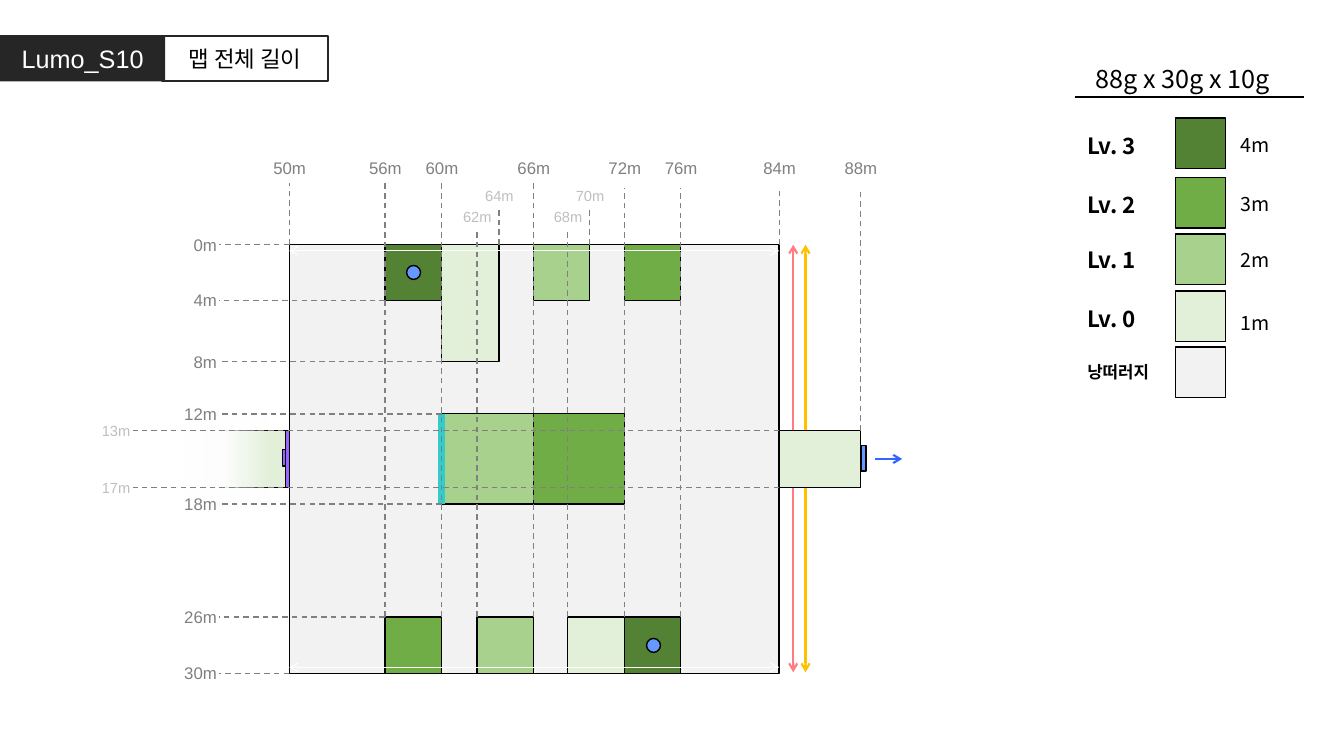
from dataclasses import dataclass
from typing import NamedTuple, Optional

from lxml.etree import SubElement
from pptx import Presentation
from pptx.dml.color import RGBColor
from pptx.enum.dml import MSO_LINE
from pptx.enum.shapes import MSO_CONNECTOR, MSO_SHAPE
from pptx.enum.text import MSO_ANCHOR, PP_ALIGN
from pptx.oxml.ns import qn
from pptx.util import Pt


@dataclass(frozen=True)
class Theme:
    black: str = "000000"
    white: str = "FFFFFF"
    dark: str = "262626"
    major: str = "808080"
    minor: str = "BFBFBF"
    cliff: str = "F2F2F2"
    level0: str = "E2F0D9"
    level1: str = "A9D18E"
    level2: str = "70AD47"
    level3: str = "548235"
    violet: str = "9966FF"
    blue: str = "6699FF"
    arrow_blue: str = "3366FF"
    teal: str = "33CCCC"
    amber: str = "FFC000"
    pink: str = "FF7C80"
    latin: str = "Arial"
    korean: str = "Noto Sans CJK KR"
    title: float = 18
    subtitle: float = 16
    value: float = 14
    small: float = 12
    tiny: float = 10.5


class Box(NamedTuple):
    left: float
    top: float
    width: float
    height: float


class Point(NamedTuple):
    x: float
    y: float


class Style(NamedTuple):
    size: float
    color: str
    font: str
    bold: bool = False
    align: PP_ALIGN = PP_ALIGN.LEFT


class Level(NamedTuple):
    name: str
    height: str
    color: str
    size: float
    swatch_top: float
    name_top: float
    height_top: float


class Block(NamedTuple):
    x_start: int
    y_start: int
    x_end: int
    y_end: int
    color: str


class Column(NamedTuple):
    metre: int
    label_top: float
    line_top: float
    line_end: int


class Row(NamedTuple):
    metre: int
    line_end: int


T = Theme()
X = {50: 206.6, 56: 275, 60: 315.4, 62: 340.6, 64: 356.4, 66: 381, 68: 405.4,
     70: 421.2, 72: 446, 76: 486.2, 84: 556.6, 88: 614.6}
Y = {0: 174.8, 4: 214.6, 8: 258.4, 12: 295.6, 13: 307.6, 17: 348.2, 18: 360,
     26: 440.6, 30: 481}

LEVELS = [
    Level("Lv. 3", "4m", T.level3, T.subtitle, 84.4, 90.8, 91.4),
    Level("Lv. 2", "3m", T.level2, T.subtitle, 126.8, 133.2, 133.8),
    Level("Lv. 1", "2m", T.level1, T.subtitle, 167.2, 172.2, 173.6),
    Level("Lv. 0", "1m", T.level0, T.subtitle, 207.8, 214.6, 218.2),
    Level("낭떠러지", "", T.cliff, T.small, 248, 254.8, 0),
]
BLOCKS = [
    Block(56, 0, 60, 4, T.level3), Block(60, 0, 64, 8, T.level0),
    Block(66, 0, 70, 4, T.level1), Block(72, 0, 76, 4, T.level2),
    Block(62, 26, 66, 30, T.level1), Block(68, 26, 72, 30, T.level0),
    Block(60, 12, 66, 18, T.level1), Block(66, 12, 72, 18, T.level2),
    Block(56, 26, 60, 30, T.level2), Block(72, 26, 76, 30, T.level3),
]
MAJOR_COLUMNS = [
    Column(50, 109.4, 131, 0), Column(56, 109.4, 131, 26), Column(60, 109.4, 131, 26),
    Column(66, 109.4, 131, 26), Column(72, 109.4, 134.6, 26), Column(76, 109.4, 134.6, 26),
    Column(84, 109.4, 134.6, 0), Column(88, 109.4, 134.6, 13),
]
MINOR_COLUMNS = [
    Column(62, 144.8, 164.2, 26), Column(64, 129.6, 149.8, 0),
    Column(68, 144.8, 164.2, 26), Column(70, 129.6, 149.8, 0),
]
MAJOR_ROWS = [Row(0, 50), Row(4, 56), Row(8, 60), Row(12, 60), Row(18, 60),
              Row(26, 56), Row(30, 50)]
MINOR_ROWS = [Row(13, 84), Row(17, 84)]

deck = Presentation()
deck.slide_width, deck.slide_height = Pt(960), Pt(540)
slide = deck.slides.add_slide(deck.slide_layouts[6])


def write(holder, text: str, style: Style) -> None:
    holder.text_frame.word_wrap = True
    paragraph = holder.text_frame.paragraphs[0]
    paragraph.text = text
    paragraph.alignment = style.align
    font = paragraph.font
    font.size, font.bold, font.name = Pt(style.size), style.bold, style.font
    font.color.rgb = RGBColor.from_string(style.color)
    properties = paragraph._p.pPr.find(qn("a:defRPr"))
    SubElement(properties, qn("a:ea"), typeface=T.korean)


def add_text(box: Box, text: str, style: Style) -> None:
    write(slide.shapes.add_textbox(*map(Pt, box)), text, style)


def add_area(box: Box, fill: Optional[str], line: Optional[str] = T.black,
             weight: float = 1, kind: MSO_SHAPE = MSO_SHAPE.RECTANGLE):
    area = slide.shapes.add_shape(kind, *map(Pt, box))
    area.shadow.inherit = False
    area.fill.background()
    if fill:
        area.fill.solid()
        area.fill.fore_color.rgb = RGBColor.from_string(fill)
    area.line.fill.background()
    if line:
        area.line.color.rgb = RGBColor.from_string(line)
        area.line.width = Pt(weight)
    return area


def add_line(start: Point, end: Point, color: str, weight: float = 1,
             dashed: bool = False, arrows: tuple[str, ...] = ()) -> None:
    line = slide.shapes.add_connector(MSO_CONNECTOR.STRAIGHT, *map(Pt, (*start, *end)))
    line.line.color.rgb = RGBColor.from_string(color)
    line.line.width = Pt(weight)
    if dashed:
        line.line.dash_style = MSO_LINE.DASH
    for arrow in arrows:
        SubElement(line.line._get_or_add_ln(), qn(f"a:{arrow}"), type="arrow")
    SubElement(line._element.spPr, qn("a:effectLst"))


def add_block(block: Block) -> None:
    left, top = X[block.x_start], Y[block.y_start]
    add_area(Box(left, top, X[block.x_end] - left, Y[block.y_end] - top), block.color)


def add_column(column: Column, style: Style) -> None:
    x = X[column.metre]
    add_text(Box(x - 20.6, column.label_top, 41.8, 21.6), f"{column.metre}m", style)
    add_line(Point(x, Y[column.line_end]), Point(x, column.line_top), T.major, dashed=True)


def add_row(row: Row, left: float, line_left: float, rise: float, style: Style) -> None:
    y = Y[row.metre]
    add_line(Point(X[row.line_end], y), Point(line_left, y), T.major, dashed=True)
    add_text(Box(left, y - rise, 41.8, 21.6), f"{row.metre}m", style)


BOTH = ("headEnd", "tailEnd")
CENTER = PP_ALIGN.CENTER

add_line(Point(767.6, 69.2), Point(931.6, 69.2), T.black)
add_text(Box(765.6, 41.8, 158.4, 28.8), "88g x 30g x 10g",
         Style(T.title, T.black, T.korean, align=CENTER))
stage = add_area(Box(0, 25.2, 118, 33), T.dark, None)
topic = add_area(Box(116, 26, 118, 31.6), None, T.dark, 1.5)
write(stage, "Lumo_S10", Style(T.title, T.white, T.latin, align=CENTER))
write(topic, "맵 전체 길이", Style(T.subtitle, T.black, T.latin, align=CENTER))
for heading in (stage, topic):
    heading.text_frame.vertical_anchor = MSO_ANCHOR.MIDDLE

for level in LEVELS:
    add_area(Box(839.6, level.swatch_top, 36, 36), level.color)
    add_text(Box(769.6, level.name_top, 77, 26),
             level.name, Style(level.size, T.black, T.korean, bold=True))
    if level.height:
        add_text(Box(879, level.height_top, 51, 24),
                 level.height, Style(T.value, T.black, T.korean))

add_block(Block(50, 0, 84, 30, T.cliff))
add_area(Box(146.2, Y[13], 58.4, Y[17] - Y[13]), T.level0)
fade = add_area(Box(131.8, 294.4, 60.4, 72), None, None)
fade.fill.gradient()
fade.fill.gradient_angle = 180
for stop, position in zip(fade.fill.gradient_stops, (0, 0.55)):
    stop.color.rgb = RGBColor.from_string(T.white)
    stop.position = position
SubElement(next(fade._element.spPr.iter(qn("a:srgbClr"))), qn("a:alpha"), val="0")
add_area(Box(201.8, 321.2, 2.8, 11.6), T.violet)
add_area(Box(203.8, Y[13], 2.8, Y[17] - Y[13]), T.violet)

for block in BLOCKS:
    add_block(block)
for y in (179.2, 476.6):
    add_line(Point(X[50], y), Point(X[84], y), T.white, 0.75, arrows=BOTH)
for x, color in ((575.4, T.amber), (566.6, T.pink)):
    add_line(Point(x, 480.2), Point(x, Y[0]), color, 1.5, arrows=BOTH)
add_block(Block(84, 13, 88, 17, T.level0))
add_line(Point(625, 327.8), Point(644.4, 327.8), T.arrow_blue, 1.5, arrows=("tailEnd",))
add_area(Box(615, 318.4, 3.6, 18), T.blue)
for left, top in ((290.4, 189.6), (461.8, 456)):
    add_area(Box(left, top, 10, 10), T.blue, kind=MSO_SHAPE.OVAL)
add_line(Point(X[60], Y[12]), Point(X[60], Y[18]), T.teal, 4.5)

for column in MAJOR_COLUMNS:
    add_column(column, Style(T.small, T.major, T.latin, align=CENTER))
for column in MINOR_COLUMNS:
    add_column(column, Style(T.tiny, T.minor, T.latin, align=CENTER))
for row in MAJOR_ROWS:
    add_row(row, 120.2, 156.2, 11, Style(T.small, T.major, T.latin, align=PP_ALIGN.RIGHT))
for row in MINOR_ROWS:
    add_row(row, 62, 95, 10, Style(T.tiny, T.minor, T.latin, align=CENTER))

deck.save("out.pptx")
